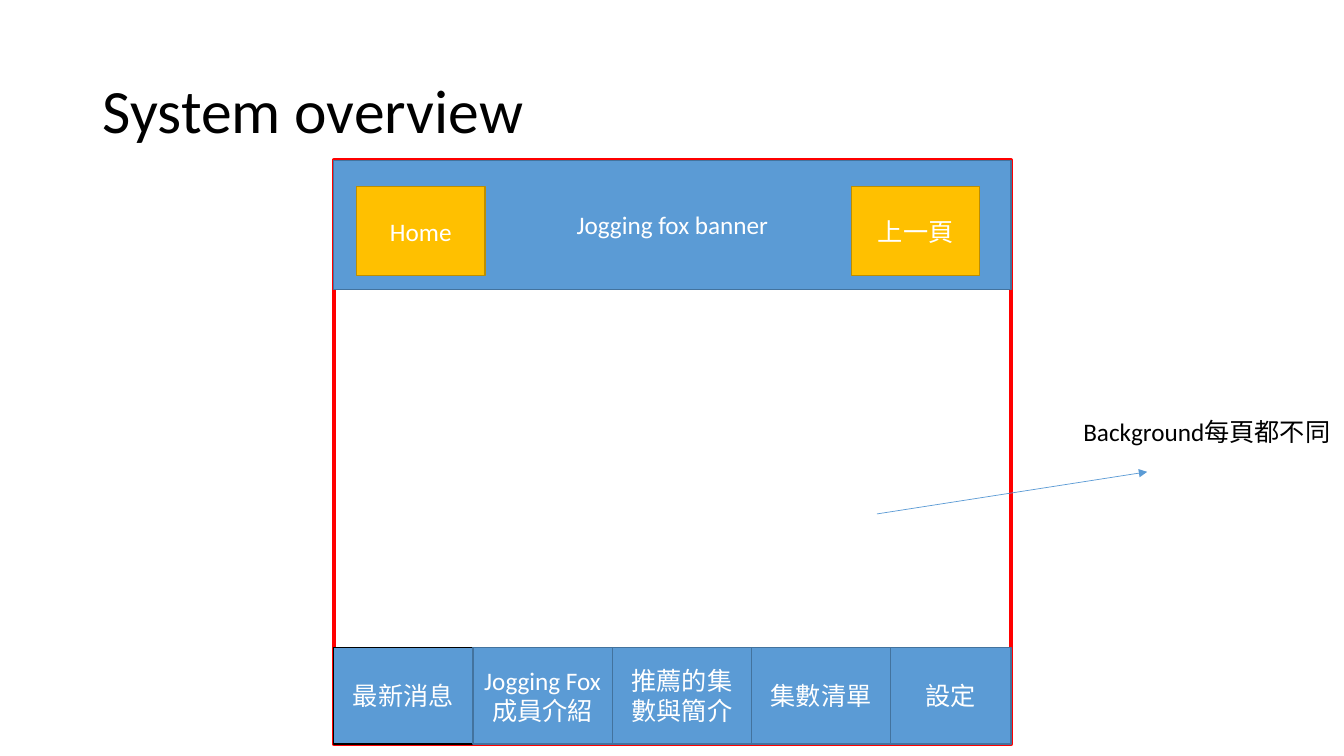
import pptx
import pptx.util
import pptx.dml.color
import pptx.enum.shapes
import pptx.enum.text
import lxml.etree

Cm, Pt = pptx.util.Cm, pptx.util.Pt
SHAPE = pptx.enum.shapes.MSO_SHAPE
ALIGN = pptx.enum.text.PP_ALIGN
ANCHOR = pptx.enum.text.MSO_ANCHOR
NS = "http://schemas.openxmlformats.org/drawingml/2006/main"
BLUE, NAVY, GOLD, BROWN = "5B9BD5", "43739E", "FFC000", "BD8E00"
BLACK, WHITE, RED = "000000", "FFFFFF", "FF0000"


def color(hue):
    """Turn a hex string into a colour."""
    return pptx.dml.color.RGBColor.from_string(hue)


def write(shape, text, size, hue, align, anchor):
    """Set the one paragraph of a shape."""
    frame = shape.text_frame
    frame.word_wrap = True
    frame.vertical_anchor = anchor
    para = frame.paragraphs[0]
    para.text = text
    para.alignment = align
    para.font.name = "Calibri"
    para.font.size = Pt(size)
    para.font.color.rgb = color(hue)
    return para


def label(slide, box, text, size, anchor):
    """Place black text without a frame."""
    shape = slide.shapes.add_textbox(*map(Cm, box))
    return write(shape, text, size, BLACK, ALIGN.LEFT, anchor)


def panel(slide, box, edge, width=1, fill=None, text=None):
    """Place an outlined rectangle with optional fill and text."""
    shape = slide.shapes.add_shape(SHAPE.RECTANGLE, *map(Cm, box))
    shape.shadow.inherit = False
    shape.line.color.rgb = color(edge)
    shape.line.width = Pt(width)
    if fill:
        shape.fill.solid()
        shape.fill.fore_color.rgb = color(fill)
    else:
        shape.fill.background()
    if text:
        write(shape, text, 18, WHITE, ALIGN.CENTER, ANCHOR.MIDDLE)


def banner(slide, box):
    """Draw the top banner with a button at each end."""
    left, top, width, _ = box
    panel(slide, box, NAVY, 1, BLUE, "Jogging fox banner")
    wide, high = 3.23, 2.24
    back = left + width - 0.79 - wide
    for x, text in ((left + 0.58, "Home"), (back, "上一頁")):
        panel(slide, (x, top + 0.66, wide, high), BROWN, 1, GOLD, text)


def menu(slide, box):
    """Draw the row of tabs, the last one filling the rest."""
    left, top, width, high = box
    step = 3.51
    tabs = ["最新消息", "Jogging Fox成員介紹", "推薦的集數與簡介", "集數清單", "設定"]
    for i, text in enumerate(tabs):
        wide = min(step, width - i * step)
        edge = NAVY if i else BLACK
        panel(slide, (left + i * step, top, wide, high), edge, 1, BLUE, text)


def arrow(slide, start, end):
    """Draw a thin arrow between two points."""
    line = slide.shapes.add_connector(
        pptx.enum.shapes.MSO_CONNECTOR.STRAIGHT, *map(Cm, start + end))
    line.line.color.rgb = color(BLUE)
    line.line.width = Pt(0.5)
    stroke = line.line._get_or_add_ln()
    lxml.etree.SubElement(stroke, f"{{{NS}}}tailEnd", type="triangle")
    lxml.etree.SubElement(stroke.getparent(), f"{{{NS}}}effectLst")


def screen(slide, box):
    """Draw the app screen with banner, menu and background note."""
    left, top, width, height = box
    panel(slide, box, RED, 3)
    banner(slide, (left, top, width, 3.25))
    arrow(slide, (left + 13.69, top + 8.91), (left + 20.5, top + 7.85))
    label(slide, (left + 18.64, top + 6.32, 6.81, 1.02),
          "Background每頁都不同", 18, ANCHOR.TOP)
    bar = 2.44
    menu(slide, (left, top + height - bar, width, bar))


def main():
    """Build and save the slide."""
    deck = pptx.Presentation()
    deck.slide_width, deck.slide_height = Cm(33.87), Cm(19.05)
    slide = deck.slides.add_slide(deck.slide_layouts[6])
    title = label(slide, (2.34, 1.02, 29.21, 3.68),
                  "System overview", 44, ANCHOR.MIDDLE)
    title.line_spacing = 0.9
    screen(slide, (8.41, 4.04, 17.07, 14.71))
    deck.save("out.pptx")


if __name__ == "__main__":
    main()
